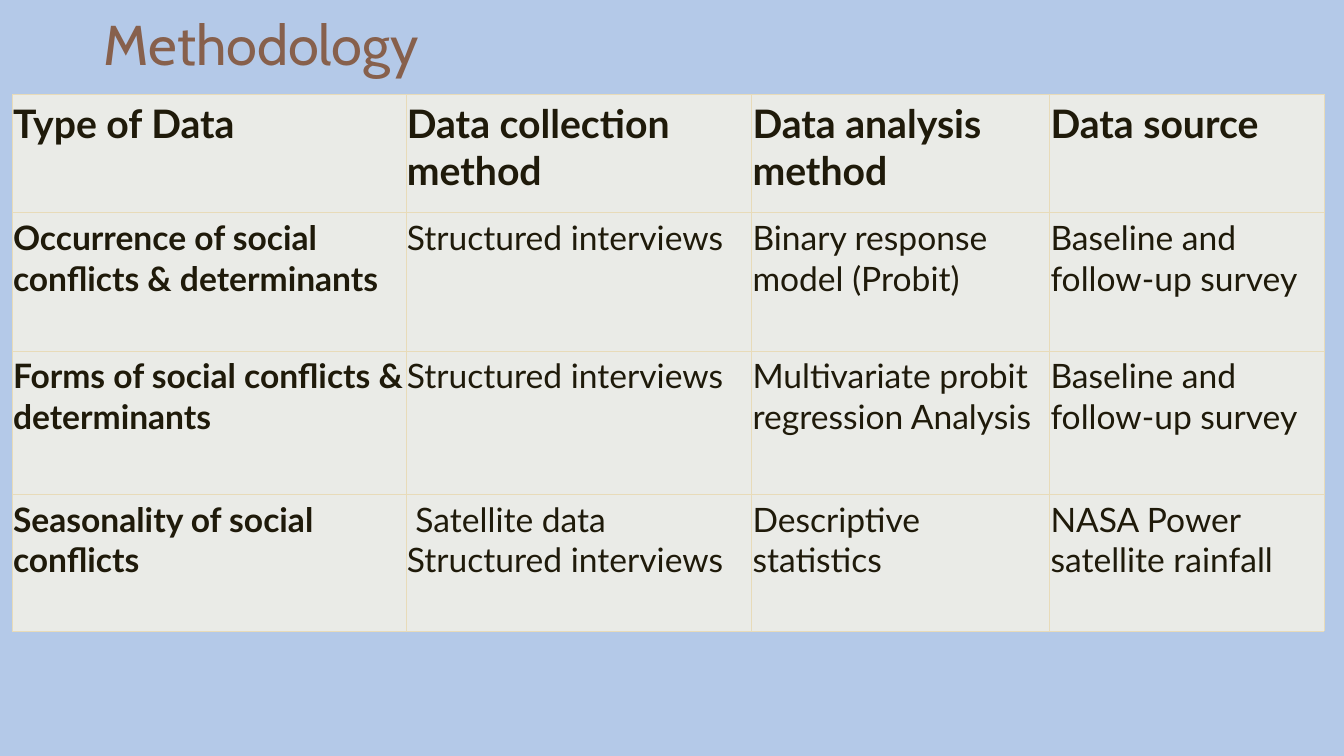
from dataclasses import astuple, dataclass

from lxml.etree import SubElement
from pptx import Presentation
from pptx.dml.color import RGBColor
from pptx.enum.text import MSO_ANCHOR, PP_ALIGN
from pptx.oxml.ns import qn
from pptx.slide import Slide
from pptx.table import _Cell
from pptx.util import Pt

BACKGROUND = RGBColor(0xB4, 0xC9, 0xE8)
TITLE_BROWN = RGBColor(0x87, 0x60, 0x4C)
INK = RGBColor(0x1F, 0x1A, 0x0A)
CELL_GREY = RGBColor(0xEA, 0xEB, 0xE7)
GRID_SAND = RGBColor(0xE8, 0xDB, 0xB9)

COLUMN_WIDTHS = (281.5, 247, 213, 196)
ROW_HEIGHTS = (84.25, 98.65, 102.25, 97.9)


@dataclass(frozen=True)
class MethodRow:
    data_type: str
    collection: str
    analysis: str
    source: str


METHODS = (
    MethodRow("Type of Data", "Data collection method", "Data analysis method", "Data source"),
    MethodRow("Occurrence of social conflicts & determinants", "Structured interviews",
              "Binary response model (Probit)", "Baseline and follow-up survey"),
    MethodRow("Forms of social conflicts & determinants", "Structured interviews",
              "Multivariate probit regression Analysis", "Baseline and follow-up survey"),
    MethodRow("Seasonality of social conflicts", " Satellite data\nStructured interviews",
              "Descriptive statistics", "NASA Power satellite rainfall"),
)


def add_heading(slide: Slide) -> None:
    heading = slide.shapes.title
    heading.left, heading.top = Pt(67), Pt(0)
    heading.width, heading.height = Pt(544.3), Pt(67.7)
    heading.text_frame.text = "Methodology"
    heading.text_frame.vertical_anchor = MSO_ANCHOR.MIDDLE
    paragraph = heading.text_frame.paragraphs[0]
    paragraph.alignment = PP_ALIGN.LEFT
    paragraph.line_spacing = 0.9
    paragraph.font.name = "Cabin"
    paragraph.font.size = Pt(40)
    paragraph.font.color.rgb = TITLE_BROWN


def add_borders(cell: _Cell) -> None:
    properties = cell._tc.get_or_add_tcPr()
    for side in ("a:lnL", "a:lnR", "a:lnT", "a:lnB"):
        border = SubElement(properties, qn(side), w=str(Pt(0.45)))
        fill = SubElement(border, qn("a:solidFill"))
        SubElement(fill, qn("a:srgbClr"), val=str(GRID_SAND))


def fill_cell(cell: _Cell, text: str, size: float, bold: bool) -> None:
    cell.margin_left = cell.margin_right = Pt(0.7)
    cell.margin_top = cell.margin_bottom = Pt(3.6)
    add_borders(cell)
    cell.fill.solid()
    cell.fill.fore_color.rgb = CELL_GREY
    cell.text_frame.text = text
    for paragraph in cell.text_frame.paragraphs:
        paragraph.font.name = "Lato"
        paragraph.font.size = Pt(size)
        paragraph.font.bold = bold
        paragraph.font.color.rgb = INK


def add_methods(slide: Slide) -> None:
    methods = slide.shapes.add_table(
        len(METHODS), len(COLUMN_WIDTHS), Pt(8.65), Pt(67.7),
        Pt(sum(COLUMN_WIDTHS)), Pt(sum(ROW_HEIGHTS))).table
    methods.first_row = methods.horz_banding = False
    for column, width in zip(methods.columns, COLUMN_WIDTHS):
        column.width = Pt(width)
    for row, height in zip(methods.rows, ROW_HEIGHTS):
        row.height = Pt(height)
    for r, method in enumerate(METHODS):
        for c, text in enumerate(astuple(method)):
            fill_cell(methods.cell(r, c), text, 28 if r == 0 else 24, r == 0 or c == 0)


def main() -> None:
    presentation = Presentation()
    presentation.slide_width, presentation.slide_height = Pt(960.5), Pt(540)
    slide = presentation.slides.add_slide(presentation.slide_layouts.get_by_name("Title Only"))
    slide.background.fill.solid()
    slide.background.fill.fore_color.rgb = BACKGROUND
    add_heading(slide)
    add_methods(slide)
    presentation.save("out.pptx")


if __name__ == "__main__":
    main()
